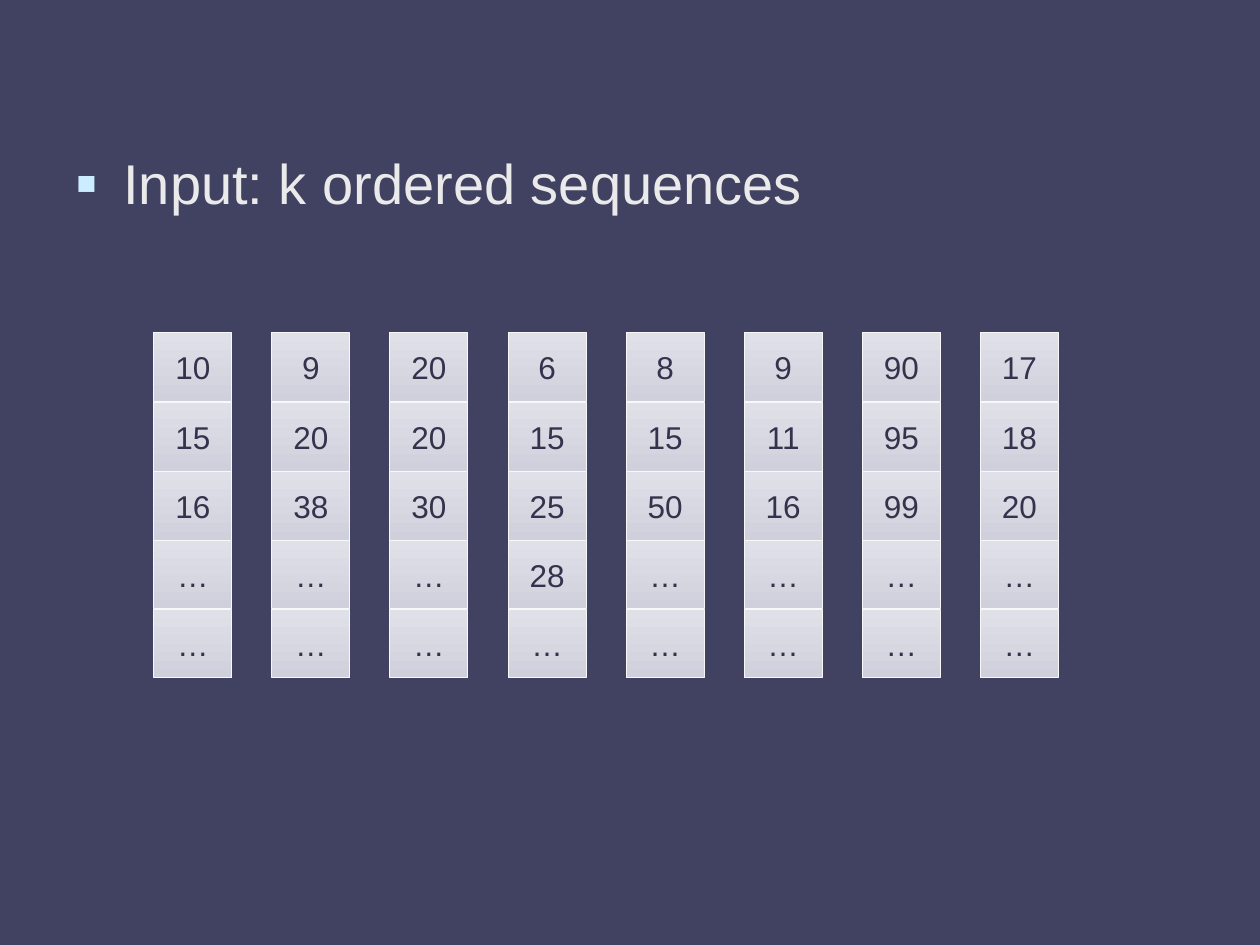
from dataclasses import dataclass

from lxml.etree import SubElement
from pptx import Presentation
from pptx.dml.color import RGBColor as Color
from pptx.enum.shapes import MSO_SHAPE as Shape
from pptx.enum.text import MSO_ANCHOR as Anchor, MSO_AUTO_SIZE as AutoSize, PP_ALIGN as Align
from pptx.oxml.ns import qn
from pptx.util import Inches, Pt


@dataclass(frozen=True)
class Theme:
    """Colours, font and type sizes of the slide."""

    font: str = "Arial"
    background: str = "414161"
    body_text: str = "EAEAEA"
    bullet: str = "CCECFF"
    cell_top: str = "E0E0E8"
    cell_bottom: str = "D0D0DC"
    cell_line: str = "F8F8F8"
    cell_text: str = "33334D"
    body_size: int = 32
    cell_size: int = 18


SEQUENCES = [
    ["10", "15", "16", "…", "…"],
    ["9", "20", "38", "…", "…"],
    ["20", "20", "30", "…", "…"],
    ["6", "15", "25", "28", "…"],
    ["8", "15", "50", "…", "…"],
    ["9", "11", "16", "…", "…"],
    ["90", "95", "99", "…", "…"],
    ["17", "18", "20", "…", "…"],
]
FIRST_LEFT, LAST_LEFT = 1.22, 7.78
FIRST_TOP, ROW_STEP = 2.64, 0.55
CELL_WIDTH = 0.62
ROW_HEIGHTS = [0.55, 0.55, 0.55, 0.54, 0.54]


def write_text(frame, text, *, font, size, color, align=Align.LEFT, anchor=Anchor.TOP):
    """Write one formatted paragraph and return it."""
    frame.word_wrap = True
    frame.auto_size = AutoSize.NONE
    frame.vertical_anchor = anchor
    paragraph = frame.paragraphs[0]
    paragraph.alignment = align
    run = paragraph.add_run()
    run.text = text
    run.font.name = font
    run.font.size = Pt(size)
    run.font.color.rgb = Color.from_string(color)
    return paragraph


class SlideBuilder:
    """Holds the theme and the current slide."""

    def __init__(self, presentation, theme):
        """Add a slide with a body and the theme background."""
        self.theme = theme
        self.slide = presentation.slides.add_slide(presentation.slide_layouts[1])
        title = self.slide.shapes.title.element
        title.getparent().remove(title)
        fill = self.slide.background.fill
        fill.solid()
        fill.fore_color.rgb = Color.from_string(theme.background)

    def body(self, text, left, top, width, height):
        """Fill the body placeholder with one bulleted line."""
        theme = self.theme
        shape = self.slide.placeholders[1]
        shape.left, shape.top = Inches(left), Inches(top)
        shape.width, shape.height = Inches(width), Inches(height)
        paragraph = write_text(shape.text_frame, text, font=theme.font,
                               size=theme.body_size, color=theme.body_text)
        paragraph.space_before = Pt(8)
        properties = paragraph._p.get_or_add_pPr()
        properties.set("marL", str(Inches(0.38)))
        properties.set("indent", str(Inches(-0.38)))
        bullet_color = SubElement(properties, qn("a:buClr"))
        SubElement(bullet_color, qn("a:srgbClr"), val=theme.bullet)
        SubElement(properties, qn("a:buSzPct"), val="115000")
        SubElement(properties, qn("a:buFont"), typeface=theme.font)
        SubElement(properties, qn("a:buChar"), char="▪")

    def cell(self, group, text, left, top, width, height):
        """Add one value box to a group."""
        theme = self.theme
        shape = group.shapes.add_shape(Shape.RECTANGLE, Inches(left), Inches(top),
                                       Inches(width), Inches(height))
        shape.shadow.inherit = False
        shape.fill.gradient()
        shape.fill.gradient_angle = 270
        stops = shape.fill.gradient_stops
        for stop, position, color in zip(stops, (0, 1), (theme.cell_top, theme.cell_bottom)):
            stop.position = position
            stop.color.rgb = Color.from_string(color)
        shape.line.color.rgb = Color.from_string(theme.cell_line)
        shape.line.width = Pt(0.5)
        write_text(shape.text_frame, text, font=theme.font, size=theme.cell_size,
                   color=theme.cell_text, align=Align.CENTER, anchor=Anchor.MIDDLE)

    def sequences(self, columns):
        """Add evenly spaced columns of value boxes as one group."""
        group = self.slide.shapes.add_group_shape()
        column_step = (LAST_LEFT - FIRST_LEFT) / (len(columns) - 1)
        for column, values in enumerate(columns):
            left = FIRST_LEFT + column * column_step
            for row, (value, height) in enumerate(zip(values, ROW_HEIGHTS)):
                self.cell(group, value, left, FIRST_TOP + row * ROW_STEP, CELL_WIDTH, height)


def main():
    """Build and save the slide."""
    presentation = Presentation()
    presentation.slide_width, presentation.slide_height = Inches(10), Inches(7.5)
    builder = SlideBuilder(presentation, Theme())
    builder.body("Input: k ordered sequences", 0.5, 1.13, 9, 4.92)
    builder.sequences(SEQUENCES)
    presentation.save("out.pptx")


if __name__ == "__main__":
    main()
